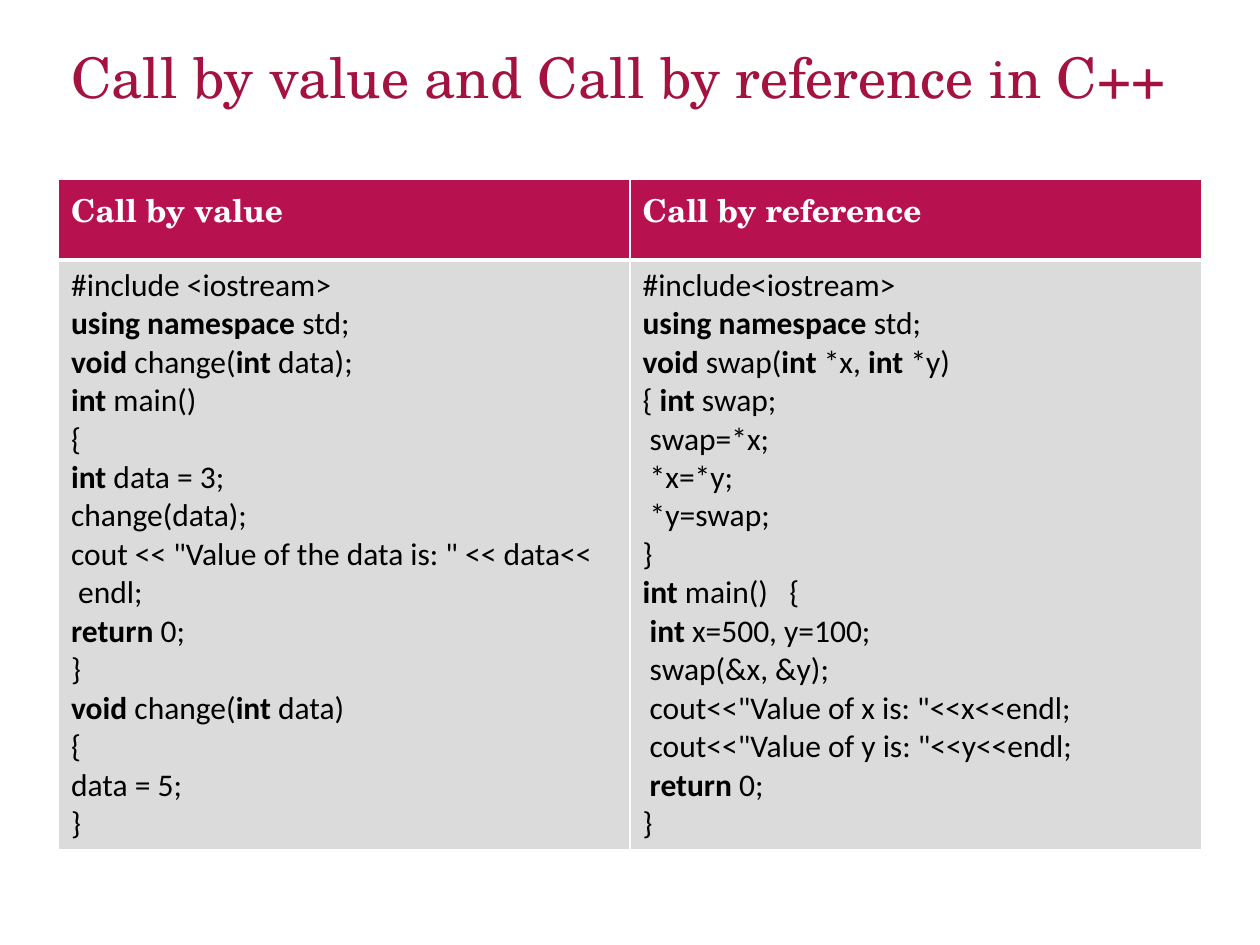
"""Build a slide comparing call by value with call by reference in C++."""
from lxml.etree import SubElement
from pptx import Presentation
from pptx.dml.color import RGBColor
from pptx.enum.text import MSO_ANCHOR, PP_ALIGN
from pptx.oxml.ns import qn
from pptx.util import Cm, Pt

TITLE = "Call by value and Call by reference in C++"
KEYWORD_MARK, SOFT_SPACE = "`", "~"
COLUMNS = [
    ("Call by value", [
        "#include <iostream>",
        "`using namespace` std;",
        "`void` change(`int` data);",
        "`int` main()",
        "{",
        "`int` data = 3;",
        "change(data);",
        'cout << "Value of the data is: " << data<<~ endl;',
        "`return` 0;",
        "}",
        "`void` change(`int` data)",
        "{",
        "data = 5;",
        "}",
    ]),
    ("Call by reference", [
        "#include<iostream>",
        "`using namespace` std;",
        "`void` swap(`int` *x, `int` *y)",
        "{ `int` swap;",
        " swap=*x;",
        " *x=*y;",
        " *y=swap;",
        "}",
        "`int` main()   {",
        " `int` x=500, y=100;",
        " swap(&x, &y);",
        ' cout<<"Value of x is: "<<x<<endl;',
        ' cout<<"Value of y is: "<<y<<endl;',
        " `return` 0;",
        "}",
    ]),
]

WHITE = RGBColor(0xFF, 0xFF, 0xFF)
BLACK = RGBColor(0, 0, 0)
CRIMSON = RGBColor(0xA4, 0x12, 0x3F)
HEADER_FILL = RGBColor(0xB8, 0x11, 0x4F)
BODY_FILL = RGBColor(0xDB, 0xDB, 0xDB)
HEADING_FONT, CODE_FONT = "TeX Gyre Schola", "Calibri"
ROW_HEIGHTS = [Cm(1.63), Cm(10.21)]
COLUMN_WIDTH = Cm(11.52)


def style(run, name, size, color, bold=False):
    font = run.font
    font.name, font.size, font.bold = name, Pt(size), bold
    font.color.rgb = color


def paint(cell, fill, bottom_width):
    properties = cell._tc.get_or_add_tcPr()
    for side, width in (("L", 1), ("R", 1), ("T", 1), ("B", bottom_width)):
        line = SubElement(properties, qn(f"a:ln{side}"), w=str(Pt(width)))
        solid = SubElement(line, qn("a:solidFill"))
        SubElement(solid, qn("a:srgbClr"), val=str(WHITE))
    cell.fill.solid()
    cell.fill.fore_color.rgb = fill


def write_code(cell, lines):
    text_frame = cell.text_frame
    for index, line in enumerate(lines):
        paragraph = text_frame.add_paragraph() if index else text_frame.paragraphs[0]
        line = line.replace(" ", "\u00a0").replace(SOFT_SPACE, " ")
        for position, part in enumerate(line.split(KEYWORD_MARK)):
            if part:
                run = paragraph.add_run()
                run.text = part
                style(run, CODE_FONT, 18, BLACK, position % 2 == 1)


presentation = Presentation()
presentation.slide_width, presentation.slide_height = Cm(25.4), Cm(19.05)
slide = presentation.slides.add_slide(presentation.slide_layouts[6])

frame = slide.shapes.add_table(2, len(COLUMNS), Cm(1.18), Cm(3.61),
                               COLUMN_WIDTH * len(COLUMNS), Cm(13.31))
table = frame.table
for row, height in zip(table.rows, ROW_HEIGHTS):
    row.height = height
for index, (heading, lines) in enumerate(COLUMNS):
    table.columns[index].width = COLUMN_WIDTH
    header, body = table.cell(0, index), table.cell(1, index)
    paint(header, HEADER_FILL, 3)
    paint(body, BODY_FILL, 1)
    paragraph = header.text_frame.paragraphs[0]
    paragraph.text = heading
    paragraph.alignment = PP_ALIGN.JUSTIFY
    style(paragraph.runs[0], HEADING_FONT, 18, WHITE, True)
    write_code(body, lines)

title = slide.shapes.add_textbox(Cm(1.19), Cm(0.97), Cm(23.34), Cm(1.3))
text_frame = title.text_frame
text_frame.word_wrap = True
text_frame.vertical_anchor = MSO_ANCHOR.MIDDLE
text_frame.text = TITLE
paragraph = text_frame.paragraphs[0]
paragraph.line_spacing = 0.9
style(paragraph.runs[0], HEADING_FONT, 32, CRIMSON)

presentation.save("out.pptx")
